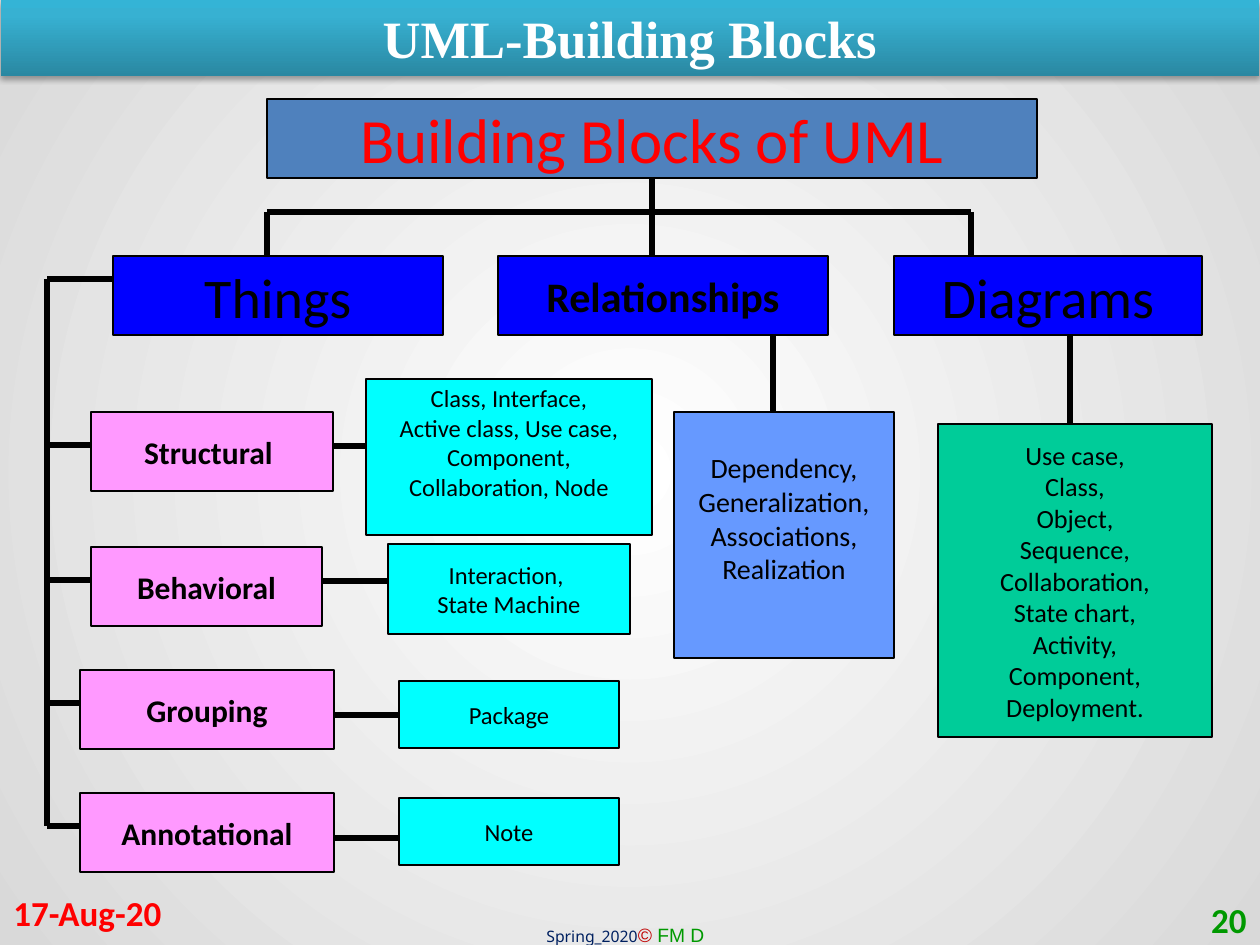
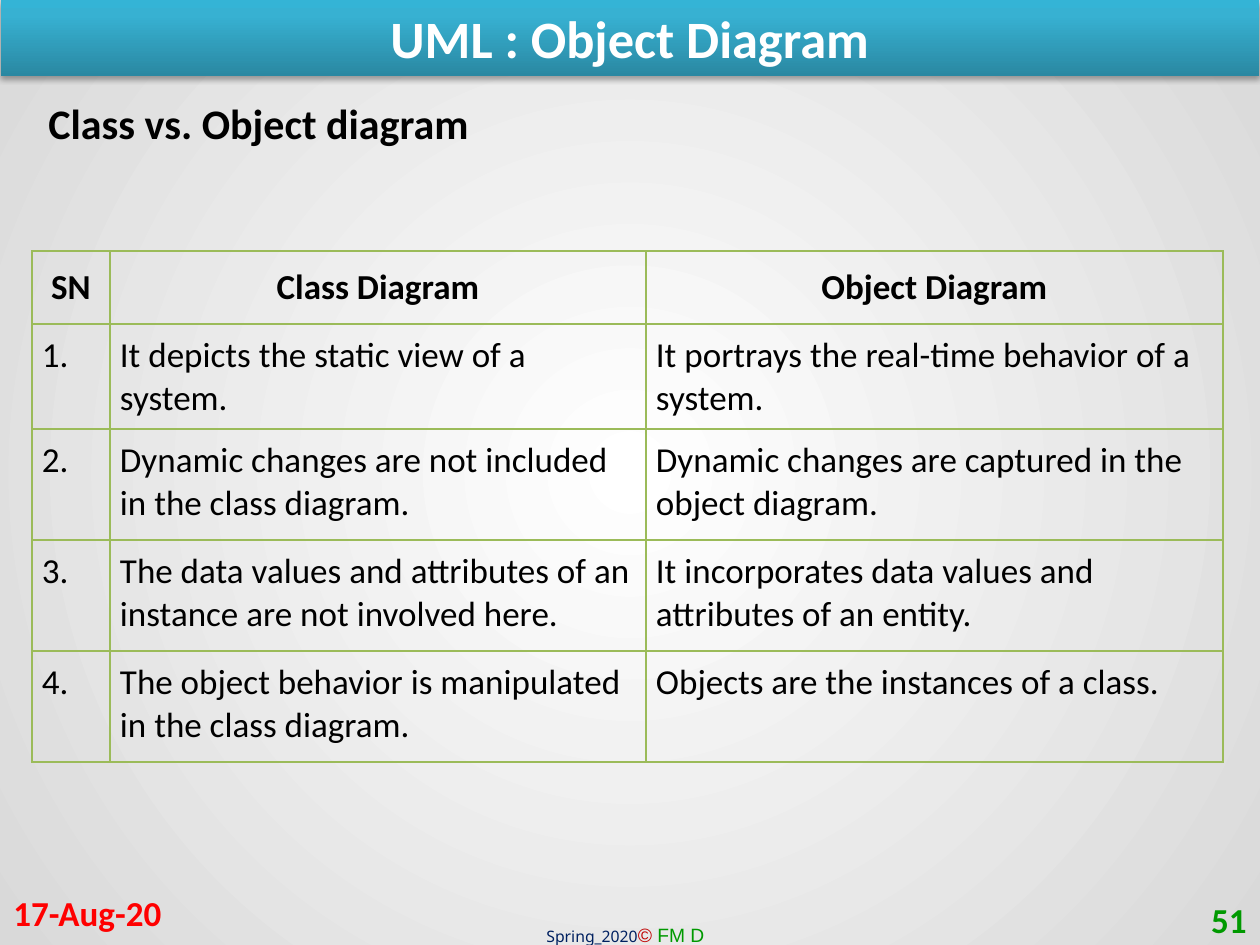
from collections import namedtuple

from pptx import Presentation
from pptx.dml.color import RGBColor
from pptx.enum.shapes import MSO_CONNECTOR, MSO_SHAPE
from pptx.enum.text import MSO_ANCHOR, MSO_AUTO_SIZE, PP_ALIGN
from pptx.oxml import parse_xml
from pptx.oxml.ns import nsdecls, qn
from pptx.util import Pt

RECTANGLE = MSO_SHAPE.RECTANGLE
STRAIGHT = MSO_CONNECTOR.STRAIGHT
TOP, MIDDLE = MSO_ANCHOR.TOP, MSO_ANCHOR.MIDDLE
GROW = MSO_AUTO_SIZE.SHAPE_TO_FIT_TEXT
LEFT, CENTER, RIGHT = PP_ALIGN.LEFT, PP_ALIGN.CENTER, PP_ALIGN.RIGHT

EMU_PER_PX = 914400 / 126
BLACK, WHITE, RED, GREEN = "000000", "FFFFFF", "FF0000", "009900"
BLUE, PINK, CYAN = "0000FF", "FF99FF", "00FFFF"
TABLE_RULE = "9BBB59"
BAND_STOPS = [(0, "2A88A2"), (80, "37B1D2"), (100, "34B4D6")]
PAGE_STOPS = [(0, WHITE), (100, "D9D9D9")]
UPWARD = '<a:lin ang="16200000" scaled="0"/>'
FROM_CENTER = ('<a:path path="circle"><a:fillToRect l="50000" t="50000" '
               'r="50000" b="50000"/></a:path>')

Ink = namedtuple("Ink", "size color bold font italic",
                 defaults=(BLACK, False, "Calibri", False))
FOOTER = [[("Spring_2020", Ink(9, "002060", font="Noto Sans")),
           ("© ", Ink(11, "C00000", font="Arial", italic=True)),
           ("FM D", Ink(11, GREEN, font="Arial"))]]


def px(length):
    return round(length * EMU_PER_PX)


def rgb(color):
    return RGBColor.from_string(color)


def gradient(stops, direction):
    marks = "".join(f'<a:gs pos="{at * 1000}"><a:srgbClr val="{color}"/></a:gs>'
                    for at, color in stops)
    return (f'<a:gradFill {nsdecls("a")} rotWithShape="1">'
            f'<a:gsLst>{marks}</a:gsLst>{direction}</a:gradFill>')


def lines(text, ink):
    return [[(line, ink)] for line in text.split("\n")]


class Deck:
    def __init__(self):
        self.deck = Presentation()
        self.deck.slide_width, self.deck.slide_height = px(1260), px(945)
        self.page = None

    def add_text(self, frame, paragraphs, align=LEFT):
        for index, spans in enumerate(paragraphs):
            para = frame.add_paragraph() if index else frame.paragraphs[0]
            para.alignment = align
            for text, ink in spans:
                span = para.add_run()
                span.text = text
                font = span.font
                font.size, font.name = Pt(ink.size), ink.font
                font.bold, font.italic = ink.bold, ink.italic
                font.color.rgb = rgb(ink.color)

    def text(self, place, paragraphs, align=LEFT, anchor=TOP, wrap=True):
        box = self.page.shapes.add_textbox(*map(px, place))
        box.text_frame.word_wrap = wrap
        box.text_frame.vertical_anchor = anchor
        self.add_text(box.text_frame, paragraphs, align)

    def rectangle(self, place):
        box = self.page.shapes.add_shape(RECTANGLE, *map(px, place))
        box.shadow.inherit = False
        return box

    def box(self, place, fill, text, ink, lift=0):
        box = self.rectangle(place)
        box.fill.solid()
        box.fill.fore_color.rgb = rgb(fill)
        box.line.color.rgb = rgb(BLACK)
        box.line.width = Pt(0.75)
        frame = box.text_frame
        frame.word_wrap = False
        frame.vertical_anchor = MIDDLE
        frame.margin_bottom = px(6 + lift)
        self.add_text(frame, lines(text, ink), CENTER)

    def line(self, x1, y1, x2, y2):
        line = self.page.shapes.add_connector(STRAIGHT, *map(px, (x1, y1, x2, y2)))
        line.line.color.rgb = rgb(BLACK)
        line.line.width = Pt(3)
        line._element.spPr.append(parse_xml(f'<a:effectLst {nsdecls("a")}/>'))

    def band(self, title, font):
        band = self.rectangle((1, 0, 1258, 76))
        band.line.fill.background()
        properties = band._element.spPr
        properties.find(qn("a:prstGeom")).addnext(
            parse_xml(gradient(BAND_STOPS, UPWARD)))
        properties.find(qn("a:effectLst")).append(parse_xml(
            f'<a:outerShdw {nsdecls("a")} blurRad="{Pt(3.1)}" dist="{Pt(1.8)}" '
            f'dir="5400000" rotWithShape="0"><a:srgbClr val="{BLACK}">'
            '<a:alpha val="35000"/></a:srgbClr></a:outerShdw>'))
        frame = band.text_frame
        frame.word_wrap = True
        frame.auto_size = GROW
        frame.vertical_anchor = TOP
        self.add_text(frame, lines(title, Ink(30, WHITE, True, font)), CENTER)

    def start(self, title, number, title_font="Calibri"):
        self.page = self.deck.slides.add_slide(self.deck.slide_layouts[6])
        self.page.element.cSld.insert(0, parse_xml(
            f'<p:bg {nsdecls("p")}><p:bgPr>{gradient(PAGE_STOPS, FROM_CENTER)}'
            f'<a:effectLst {nsdecls("a")}/></p:bgPr></p:bg>'))
        self.text((534, 917, 190, 37), FOOTER, wrap=False)
        self.band(title, title_font)
        self.text((1, 888, 294, 50), lines("17-Aug-20", Ink(20, RED, True)),
                  anchor=MIDDLE)
        self.text((965, 895, 294, 50), lines(number, Ink(20, GREEN, True)),
                  RIGHT, MIDDLE)

    def table(self, left, top, widths, heights, rows):
        frame = self.page.shapes.add_table(
            len(rows), len(widths),
            *map(px, (left, top, sum(widths), sum(heights))))
        table = frame.table
        table.first_row = table.horz_banding = False
        for column, width in zip(table.columns, widths):
            column.width = px(width)
        for index, (row, height) in enumerate(zip(rows, heights)):
            table.rows[index].height = px(height)
            header = index == 0
            for column, text in enumerate(row):
                self.cell(table.cell(index, column), text, header)

    def cell(self, cell, text, header):
        inset = px(15 if header else 10)
        cell.margin_left = cell.margin_right = inset
        cell.margin_top = cell.margin_bottom = inset
        cell.fill.background()
        for index, side in enumerate("LRTB"):
            cell._tc.tcPr.insert(index, parse_xml(
                f'<a:ln{side} {nsdecls("a")} w="{Pt(1)}"><a:solidFill>'
                f'<a:srgbClr val="{TABLE_RULE}"/></a:solidFill></a:ln{side}>'))
        self.add_text(cell.text_frame, lines(text, Ink(20, bold=header)),
                      CENTER if header else LEFT)


def building_blocks(deck):
    deck.start("UML-Building Blocks", "20", "Times New Roman")
    deck.box((267, 99, 770, 79), "4F81BD", "Building Blocks of UML", Ink(36, RED))
    branches = [("Things", 113, 330, Ink(32)),
                ("Relationships", 498, 330, Ink(24, bold=True)),
                ("Diagrams", 894, 308, Ink(32))]
    for name, left, width, ink in branches:
        deck.box((left, 256, width, 79), BLUE, name, ink)

    trunk = 47
    deck.line(113, 279, trunk, 279)
    deck.line(trunk, 279, trunk, 826)
    things = [
        ("Structural ", (91, 412, 242, 79), 34, (366, 379, 286, 156), 30,
         "Class, Interface,\nActive class, Use case,\nComponent,\nCollaboration, Node"),
        ("Behavioral", (91, 547, 231, 79), 34, (388, 544, 242, 90), 0,
         "Interaction, \nState Machine"),
        ("Grouping", (80, 670, 254, 79), 45, (399, 681, 220, 67), 0, "Package"),
        ("Annotational", (80, 793, 254, 79), 45, (399, 798, 220, 67), 0, "Note"),
    ]
    for name, place, link_drop, example_place, lift, examples in things:
        left, top, width, _ = place
        deck.box(place, PINK, name, Ink(18, bold=True))
        deck.box(example_place, CYAN, examples, Ink(14), lift)
        deck.line(trunk, top + 33, left, top + 33)
        deck.line(left + width, top + link_drop, example_place[0], top + link_drop)

    deck.box((674, 412, 220, 246), "6699FF",
             "Dependency,\nGeneralization,\nAssociations,\nRealization", Ink(16), 34)
    deck.box((938, 424, 274, 313), "00CC99",
             "Use case,\nClass,\nObject,\nSequence,\nCollaboration,\n"
             "State chart,\nActivity,\nComponent,\nDeployment.", Ink(15))
    deck.line(652, 178, 652, 256)
    deck.line(267, 212, 971, 212)
    for x in (267, 971):
        deck.line(x, 212, x, 256)
    for x, bottom in ((773, 412), (1070, 424)):
        deck.line(x, 335, x, bottom)


def object_diagram(deck):
    deck.start("UML : Object Diagram", "51")
    deck.text((36, 91, 1187, 114),
              lines("Class vs. Object diagram", Ink(24, bold=True)))
    deck.table(32, 251, [78, 536, 577], [73, 105, 111, 111, 111], [
        ("SN", "Class Diagram", "Object Diagram"),
        ("1.", "It depicts the static view of a system.",
         "It portrays the real-time behavior of a system."),
        ("2.", "Dynamic changes are not included in the class diagram.",
         "Dynamic changes are captured in the object diagram."),
        ("3.", "The data values and attributes of an instance are not involved here.",
         "It incorporates data values and attributes of an entity."),
        ("4.", "The object behavior is manipulated in the class diagram.",
         "Objects are the instances of a class."),
    ])


def main():
    deck = Deck()
    building_blocks(deck)
    object_diagram(deck)
    deck.deck.save("out.pptx")


if __name__ == "__main__":
    main()
